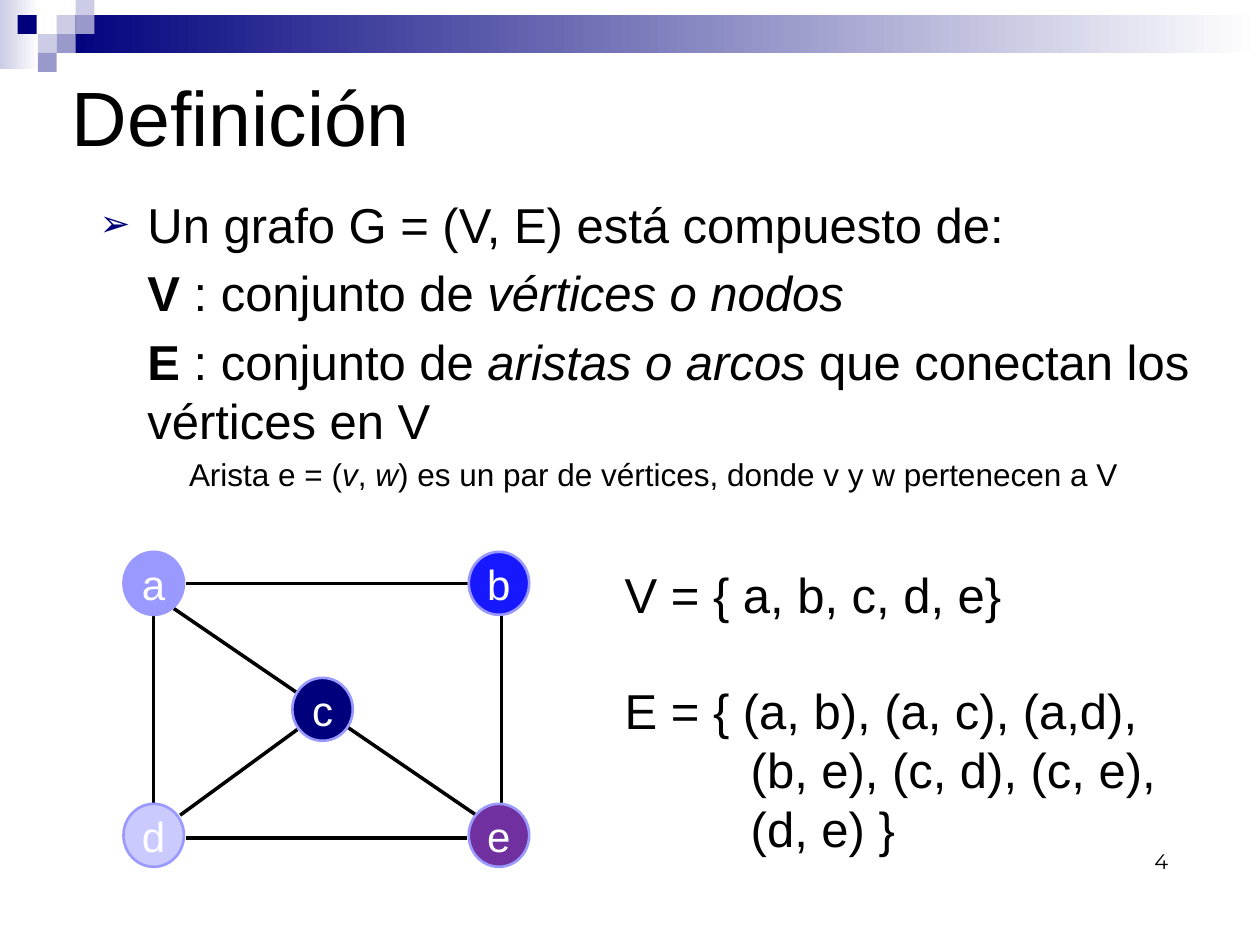
from dataclasses import dataclass

from lxml.etree import SubElement
from pptx import Presentation
from pptx.dml.color import RGBColor
from pptx.enum.shapes import MSO_CONNECTOR, MSO_SHAPE
from pptx.enum.text import MSO_ANCHOR, MSO_AUTO_SIZE, PP_ALIGN
from pptx.oxml.ns import qn
from pptx.util import Inches, Pt

COLORS = {
    "navy": "00007D", "slate": "9999CC", "mist": "CCCCE6", "white": "FFFFFF",
    "black": "000000", "periwinkle": "9999FF", "blue": "1818FF",
    "lavender": "CACAFF", "purple": "7030A0",
}
TILE = 0.15
NODE_WIDTH, NODE_HEIGHT = 0.48, 0.5


@dataclass
class Block:
    left: float
    top: float
    width: float
    height: float
    color: str
    fade: bool = False


@dataclass
class Node:
    label: str
    left: float
    top: float
    color: str


@dataclass
class Edge:
    start: tuple[float, float]
    end: tuple[float, float]


@dataclass
class Span:
    text: str
    bold: bool = False
    italic: bool = False


@dataclass
class Item:
    spans: list[Span]
    size: int = 28
    margin: float = 0.38
    hanging: float = 0
    bullet: bool = False


BLOCKS = [
    Block(0, -0.03, 0.31, 0.58, "mist", fade=True),
    Block(0.45, 0.12, 9.55, 0.3, "navy", fade=True),
] + [
    Block(left, top, TILE, TILE, color)
    for left, top, color in [
        (0.45, 0.12, "mist"), (0.6, -0.03, "mist"), (0.6, 0.12, "slate"),
        (0.3, 0.27, "mist"), (0.14, 0.12, "navy"), (0.45, 0.27, "slate"),
        (0.3, 0.42, "slate"),
    ]
]
NODES = [
    Node("a", 0.98, 4.38, "periwinkle"),
    Node("b", 3.72, 4.38, "blue"),
    Node("c", 2.32, 5.38, "navy"),
    Node("d", 0.98, 6.38, "lavender"),
    Node("e", 3.72, 6.38, "purple"),
]
EDGES = [
    Edge((1.38, 4.83), (3.78, 6.47)),
    Edge((1.22, 4.89), (1.22, 6.38)),
    Edge((3.98, 4.88), (3.98, 6.37)),
    Edge((1.48, 6.65), (3.71, 6.65)),
    Edge((1.48, 4.63), (3.73, 4.63)),
    Edge((2.36, 5.79), (1.43, 6.47)),
]
ITEMS = [
    Item([Span("Un grafo G = (V, E) está compuesto de:")], hanging=0.38, bullet=True),
    Item([Span("V", bold=True), Span(" : conjunto de "),
          Span("vértices o nodos", italic=True)]),
    Item([Span("E", bold=True), Span(" : conjunto de "),
          Span("aristas o arcos ", italic=True),
          Span("que conectan los vértices en V")]),
    Item([Span("Arista e = ("), Span("v", italic=True), Span(", "),
          Span("w", italic=True),
          Span(") es un par de vértices, donde v y w pertenecen a V")],
         size=18, margin=0.71),
]


def rgb(name: str) -> RGBColor:
    return RGBColor.from_string(COLORS[name])


def style(font, size: int, color: str = "black", name: str = "Arial") -> None:
    font.size, font.name = Pt(size), name
    font.color.rgb = rgb(color)


def place(shape, left: float, top: float, width: float, height: float) -> None:
    shape.left, shape.top = Inches(left), Inches(top)
    shape.width, shape.height = Inches(width), Inches(height)


def indent(para, margin: float, hanging: float = 0) -> None:
    properties = para._p.get_or_add_pPr()
    properties.set("marL", str(Inches(margin)))
    properties.set("indent", str(-Inches(hanging)))


def draw_block(page, block: Block) -> None:
    shape = page.shapes.add_shape(
        MSO_SHAPE.RECTANGLE, Inches(block.left), Inches(block.top),
        Inches(block.width), Inches(block.height))
    shape.shadow.inherit = False
    shape.line.fill.background()
    if block.fade:
        shape.fill.gradient()
        shape.fill.gradient_angle = 0
        for stop, color in zip(shape.fill.gradient_stops, (block.color, "white")):
            stop.color.rgb = rgb(color)
    else:
        shape.fill.solid()
        shape.fill.fore_color.rgb = rgb(block.color)


def draw_edge(page, edge: Edge) -> None:
    line = page.shapes.add_connector(
        MSO_CONNECTOR.STRAIGHT, *map(Inches, edge.start + edge.end))
    line.line.width = Pt(2)
    line.line.color.rgb = rgb("black")
    SubElement(line._element.spPr, qn("a:effectLst"))


def draw_node(page, node: Node) -> None:
    shape = page.shapes.add_shape(
        MSO_SHAPE.OVAL, Inches(node.left), Inches(node.top),
        Inches(NODE_WIDTH), Inches(NODE_HEIGHT))
    shape.shadow.inherit = False
    shape.fill.solid()
    shape.fill.fore_color.rgb = rgb(node.color)
    shape.line.color.rgb = rgb("periwinkle")
    shape.line.width = Pt(1.5)
    frame = shape.text_frame
    frame.text = node.label
    frame.word_wrap = False
    frame.vertical_anchor = MSO_ANCHOR.MIDDLE
    frame.paragraphs[0].alignment = PP_ALIGN.CENTER
    style(frame.paragraphs[0].runs[0].font, 24, "white")


def write_item(para, item: Item) -> None:
    indent(para, item.margin, item.hanging)
    properties = para._p.get_or_add_pPr()
    if item.bullet:
        color = SubElement(properties, qn("a:buClr"))
        SubElement(color, qn("a:srgbClr"), val=COLORS["navy"])
        SubElement(properties, qn("a:buSzPct"), val="75000")
        SubElement(properties, qn("a:buChar"), char="➢")
    else:
        SubElement(properties, qn("a:buNone"))
    for span in item.spans:
        run = para.add_run()
        run.text = span.text
        style(run.font, item.size)
        run.font.bold, run.font.italic = span.bold, span.italic


def write_sets(page) -> None:
    box = page.shapes.add_textbox(*map(Inches, (4.86, 4.43, 4.42, 2.44)))
    frame = box.text_frame
    frame.word_wrap = False
    frame.text = ("V = { a, b, c, d, e}\nE = { (a, b), (a, c), (a,d),\n"
                  "(b, e), (c, d), (c, e),\n(d, e) }")
    for para in frame.paragraphs:
        style(para.runs[0].font, 28)
    frame.paragraphs[1].space_before = Pt(33)
    for para in frame.paragraphs[2:]:
        indent(para, 1)


def main() -> None:
    deck = Presentation()
    deck.slide_width, deck.slide_height = Inches(10), Inches(7.5)
    page = deck.slides.add_slide(deck.slide_layouts[1])
    for block in BLOCKS:
        draw_block(page, block)

    title = page.shapes.title
    place(title, 0.47, 0.31, 9, 1.22)
    title.text_frame.text = "Definición"
    title.text_frame.paragraphs[0].alignment = PP_ALIGN.LEFT
    style(title.text_frame.paragraphs[0].runs[0].font, 44)

    body = page.placeholders[1]
    place(body, 0.69, 1.49, 9.31, 2.67)
    frame = body.text_frame
    frame.auto_size = MSO_AUTO_SIZE.NONE
    for index, item in enumerate(ITEMS):
        write_item(frame.add_paragraph() if index else frame.paragraphs[0], item)

    for edge in EDGES:
        draw_edge(page, edge)
    for node in NODES:
        draw_node(page, node)
    write_sets(page)

    number = page.shapes.add_textbox(*map(Inches, (8.75, 6.63, 0.62, 0.35))).text_frame
    number.text = "4"
    number.word_wrap = True
    number.vertical_anchor = MSO_ANCHOR.BOTTOM
    number.paragraphs[0].alignment = PP_ALIGN.RIGHT
    style(number.paragraphs[0].runs[0].font, 12, name="Montserrat")
    deck.save("out.pptx")


if __name__ == "__main__":
    main()
